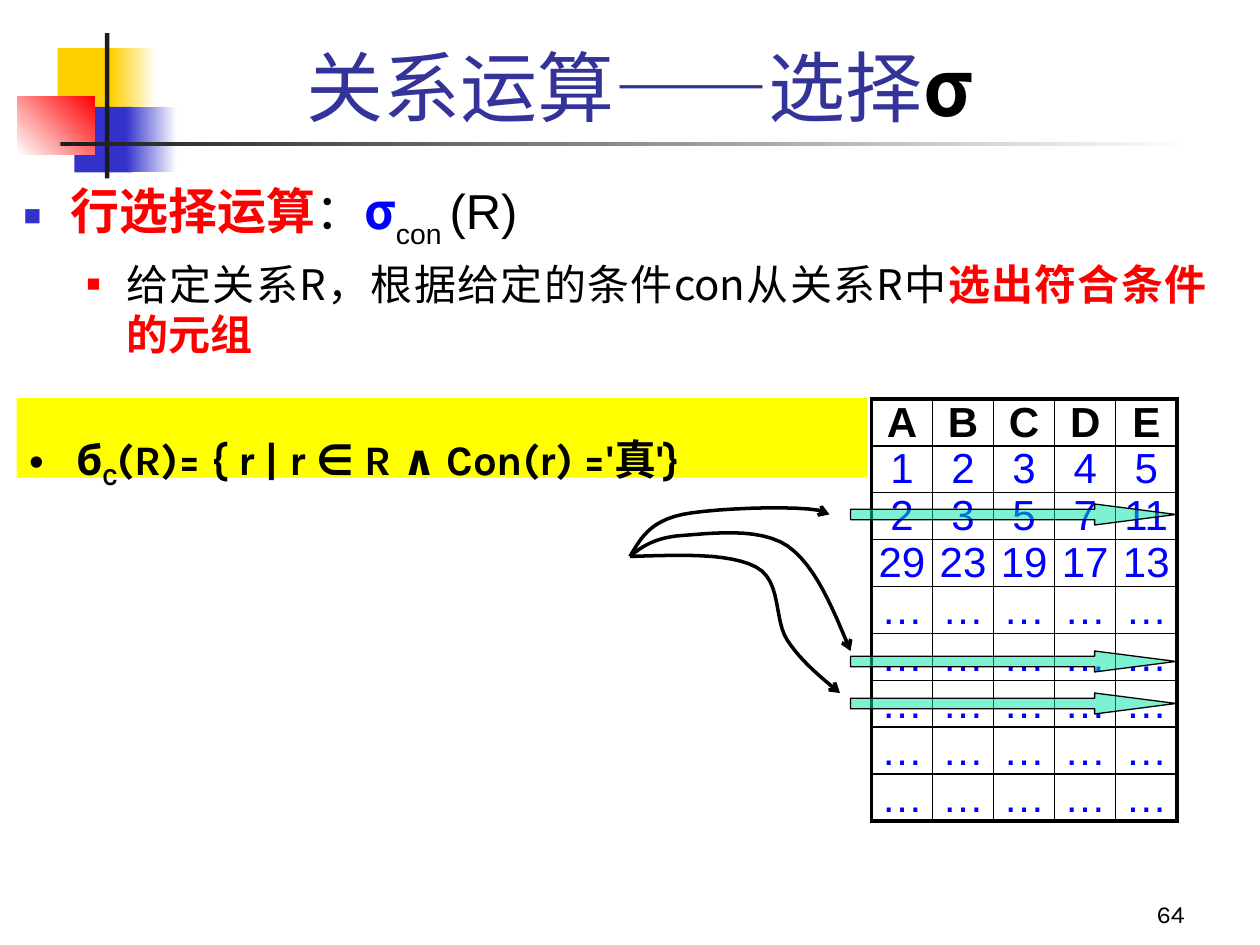
from pptx import Presentation
from pptx.dml.color import RGBColor
from pptx.enum.shapes import MSO_SHAPE as Preset
from pptx.enum.text import MSO_ANCHOR as Anchor, MSO_AUTO_SIZE as Fit, PP_ALIGN as Align
from pptx.oxml.ns import qn
from pptx.util import Pt
from lxml.etree import SubElement


def color(code):
    return RGBColor.from_string(code)


def bezier(start, first, second, end, steps=12):
    for step in range(1, steps + 1):
        t = step / steps
        weights = ((1 - t) ** 3, 3 * t * (1 - t) ** 2, 3 * t * t * (1 - t), t ** 3)
        yield tuple(sum(w * Pt(point[axis]) for w, point in zip(weights, (start, first, second, end)))
                    for axis in (0, 1))


class Painter:
    """Holds the style and the current slide, and draws each kind of element."""

    cjk, latin, sans = "Noto Sans CJK SC", "Karla", "Arial"
    black, white, red, blue, indigo = "000000", "FFFFFF", "FF0000", "0000FF", "3333CC"
    gold, ink, mint, yellow, navy = "FFCF01", "1C1C1C", "00E4A8", "FFFF00", "333399"

    def __init__(self, page):
        self.page = page

    def rect(self, place, fill, fade=None, angle=0):
        box = self.page.shapes.add_shape(Preset.RECTANGLE, *map(Pt, place))
        box.shadow.inherit = False
        box.line.fill.background()
        if fade:
            box.fill.gradient()
            box.fill.gradient_angle = angle
            for stop, code in zip(box.fill.gradient_stops, (fill, fade)):
                stop.color.rgb = color(code)
        else:
            box.fill.solid()
            box.fill.fore_color.rgb = color(fill)
        return box

    def text_box(self, place, anchor=Anchor.TOP):
        box = self.page.shapes.add_textbox(*map(Pt, place))
        return self.frame(box, anchor)

    def frame(self, box, anchor):
        frame = box.text_frame
        frame.word_wrap = True
        frame.auto_size = Fit.NONE
        frame.vertical_anchor = anchor
        return frame

    def span(self, para, text, size, font, code=black, bold=False, shift=0):
        span = para.add_run()
        span.text = text
        span.font.size = Pt(size)
        span.font.name = font
        span.font.bold = bold
        span.font.color.rgb = color(code)
        SubElement(span.font._element, qn("a:ea")).set("typeface", self.cjk)
        if shift:
            span.font._element.set("baseline", str(shift * 1000))

    def bullet(self, para, mark, margin, hang, code=black, percent=100):
        para.alignment = Align.JUSTIFY
        props = para._p.get_or_add_pPr()
        props.set("marL", str(Pt(margin)))
        props.set("indent", str(-Pt(hang)))
        tint = SubElement(props, qn("a:buClr"))
        SubElement(tint, qn("a:srgbClr")).set("val", code)
        SubElement(props, qn("a:buSzPct")).set("val", str(percent * 1000))
        SubElement(props, qn("a:buFont")).set("typeface", self.sans)
        SubElement(props, qn("a:buChar")).set("char", mark)

    def borders(self, cell, widths):
        props = cell._tc.get_or_add_tcPr()
        for side, width in zip("LRTB", widths):
            line = SubElement(props, qn("a:ln" + side))
            line.set("w", str(Pt(width)))
            SubElement(SubElement(line, qn("a:solidFill")), qn("a:srgbClr")).set("val", self.black)

    def table(self, place, rows):
        last_row, last_column = len(rows) - 1, len(rows[0]) - 1
        table = self.page.shapes.add_table(len(rows), len(rows[0]), *map(Pt, place)).table
        table.first_row = table.horz_banding = False
        for row in table.rows:
            row.height = Pt(place[3] / len(rows))
        for r, values in enumerate(rows):
            for c, value in enumerate(values):
                cell = table.cell(r, c)
                edges = (c == 0, c == last_column, r == 0, r == last_row)
                self.borders(cell, [2.25 if edge else 1 for edge in edges])
                cell.fill.background()
                cell.margin_left = cell.margin_right = cell.margin_top = cell.margin_bottom = 0
                cell.vertical_anchor = Anchor.MIDDLE
                para = cell.text_frame.paragraphs[0]
                para.alignment = Align.CENTER
                self.span(para, value, 24, self.sans, self.blue if r else self.black, r == 0)

    def row_arrow(self, place):
        arrow = self.page.shapes.add_shape(Preset.RIGHT_ARROW, *map(Pt, place))
        arrow.shadow.inherit = False
        arrow.adjustments[0], arrow.adjustments[1] = 0.5, 3.875
        arrow.fill.solid()
        arrow.fill.fore_color.rgb = color(self.mint)
        tint = arrow._element.spPr.find(qn("a:solidFill"))[0]
        SubElement(tint, qn("a:alpha")).set("val", "50000")
        arrow.line.color.rgb = color(self.black)
        arrow.line.width = Pt(0.75)

    def curve(self, start, *segments):
        builder = self.page.shapes.build_freeform(Pt(start[0]), Pt(start[1]))
        for first, second, end in segments:
            builder.add_line_segments(list(bezier(start, first, second, end)), close=False)
            start = end
        curve = builder.convert_to_shape()
        curve.shadow.inherit = False
        curve.fill.background()
        curve.line.color.rgb = color(self.black)
        curve.line.width = Pt(2)
        SubElement(curve.line._get_or_add_ln(), qn("a:tailEnd")).set("type", "arrow")


def main():
    deck = Presentation()
    deck.slide_width, deck.slide_height = Pt(720), Pt(540)
    art = Painter(deck.slides.add_slide(deck.slide_layouts[6]))

    art.rect((33, 27.5, 35, 37.5), art.gold)
    art.rect((63.5, 27.5, 26, 37.5), art.gold, art.white)
    art.rect((42.5, 61, 33, 37.5), art.indigo)
    art.rect((72, 61, 29, 37.5), art.indigo, art.white)
    art.rect((10, 55, 44, 33.5), art.white, art.red, 45)
    art.rect((60, 19, 2.5, 83), art.ink)
    art.rect((34.5, 81, 648, 2.5), art.ink, art.white)

    title = art.text_box((54, 18, 613.5, 62), Anchor.MIDDLE).paragraphs[0]
    title.alignment = Align.CENTER
    art.span(title, " 关系运算——选择", 44, art.cjk, art.navy)
    art.span(title, "σ", 44, art.cjk, bold=True)

    body = art.text_box((6.5, 99.5, 690, 222.5))
    para = body.paragraphs[0]
    art.bullet(para, "■", 27, 27, art.indigo, 60)
    art.span(para, "行选择运算", 28, art.cjk, art.red, True)
    art.span(para, "：", 28, art.cjk)
    art.span(para, "σ", 28, art.cjk, art.blue, True)
    art.span(para, "con ", 28, art.sans, shift=-30)
    art.span(para, "(R)", 28, art.sans)
    para = body.add_paragraph()
    para.level = 1
    para.space_before = Pt(4.8)
    art.bullet(para, "■", 58.5, 22.5, art.red, 55)
    art.span(para, "给定关系R，根据给定的条件con从关系R中", 24, art.cjk)
    art.span(para, "选出符合条件的元组", 24, art.cjk, art.red, True)

    number = art.text_box((534, 498, 150, 36), Anchor.BOTTOM).paragraphs[0]
    number.alignment = Align.RIGHT
    art.span(number, "64", 14, art.latin)

    rows = ["A B C D E", "1 2 3 4 5", "2 3 5 7 11", "29 23 19 17 13"] + ["… … … … …"] * 5
    art.table((498, 228, 174.5, 241.2), [row.split() for row in rows])
    for top in (288, 396, 372):
        art.row_arrow((486, top, 186, 12))

    origin = (360, 318)
    art.curve(origin, ((366, 308), (371, 298), (390, 294)), ((409, 290), (471, 288), (474, 294)))
    art.curve(origin, ((389, 317), (417, 316), (432, 324)), ((447, 332), (442, 354), (450, 366)),
              ((458, 378), (469, 387), (480, 396)))
    art.curve(origin, ((367, 312), (375, 307), (390, 306)), ((405, 305), (434, 301), (450, 312)),
              ((466, 323), (476, 348), (486, 372)))

    banner = art.rect((9.5, 227.5, 486, 45.5), art.yellow)
    para = art.frame(banner, Anchor.TOP).paragraphs[0]
    para.line_spacing = 1.5
    art.bullet(para, "•", 27, 27)
    art.span(para, "б", 24, art.latin, bold=True)
    art.span(para, "C", 24, art.latin, bold=True, shift=-25)
    art.span(para, "(R)= { r | r ∈ R ∧ Con(r) ='真'}", 24, art.latin, bold=True)

    deck.save("out.pptx")


if __name__ == "__main__":
    main()
